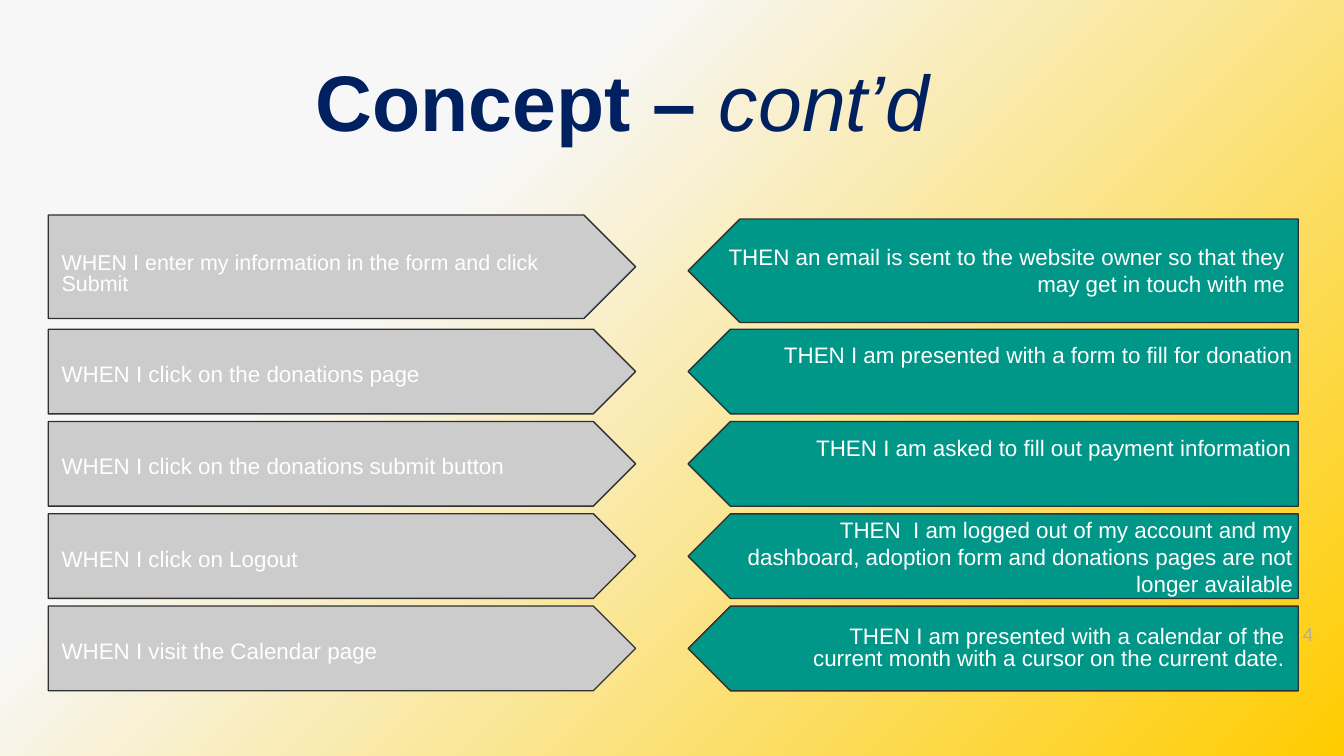
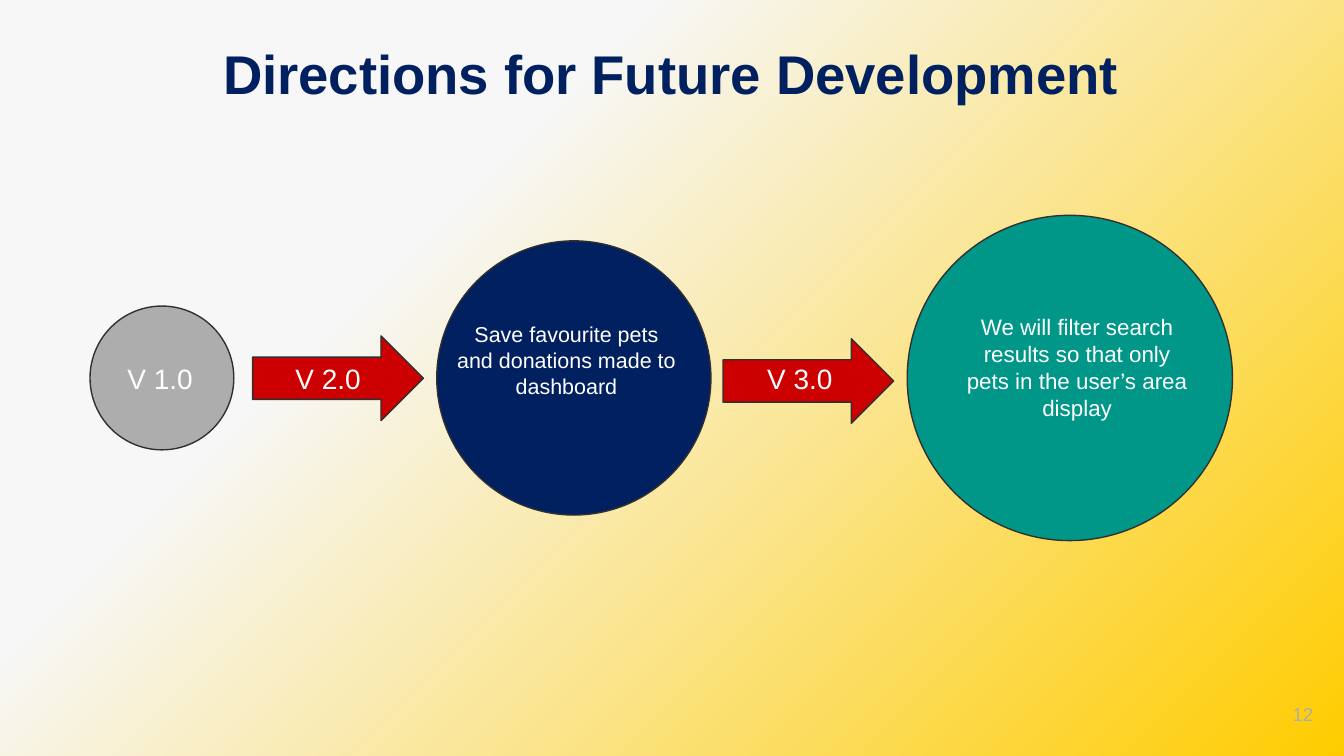
from lxml import etree
from pptx import Presentation
from pptx.dml.color import RGBColor
from pptx.enum.shapes import MSO_SHAPE
from pptx.enum.text import MSO_ANCHOR, MSO_AUTO_SIZE, PP_ALIGN
from pptx.oxml.ns import qn
from pptx.util import Inches, Pt

PENTAGON, ARROW, OVAL = MSO_SHAPE.PENTAGON, MSO_SHAPE.RIGHT_ARROW, MSO_SHAPE.OVAL
LEFT, CENTER, RIGHT = PP_ALIGN.LEFT, PP_ALIGN.CENTER, PP_ALIGN.RIGHT
TOP, MIDDLE = MSO_ANCHOR.TOP, MSO_ANCHOR.MIDDLE
NO_FIT = MSO_AUTO_SIZE.NONE

W = 10
H = W * 9 / 16
FONT = "Arial"
COLORS = {"navy": "002060", "teal": "009688", "silver": "CCCCCC", "gray": "ADADAD",
          "red": "CC0000", "white": "FFFFFF", "outline": "303030"}
BACKGROUND = [(0, "FFCC00"), (69, "F7F7F7"), (74, "F7F7F7"), (100, "FAFAFA")]

WHEN_X, WHEN_W = 0.36, 4.37
THEN_X, THEN_W = 5.12, 4.54
ROW_TOP, LAST_TOP, ROW_H = 2.45, 4.51, 0.63

FIRST_STEP = ("WHEN I enter my information in the form and click Submit",
              "THEN an email is sent to the website owner so that they may get in touch with me")
STEPS = [
    ("WHEN I click on the donations page",
     "THEN I am presented with a form to fill for donation",
     (5.57, -0.01, 4.15, 0.62), 1),
    ("WHEN I click on the donations submit button",
     "THEN I am asked to fill out payment information",
     (5.56, -0.01, 4.15, 0.62), 1),
    ("WHEN I click on Logout",
     "THEN  I am logged out of my account and my dashboard, adoption form and "
     "donations pages are not longer available",
     (5.29, -0.08, 4.43, 0.49), 1),
    ("WHEN I visit the Calendar page",
     "THEN I am presented with a calendar of the current month with a cursor on the current date.",
     (5.73, 0.06, 3.93, 0.49), 0.8),
]
CIRCLES = [(0.67, 1.07, "gray"), (3.25, 2.04, "navy"), (6.75, 2.42, "teal")]
ARROWS = [(1.88, 2.5), (5.38, 2.52)]
VERSIONS = [("V 1.0", 0.85), ("V 2.0", 2.1), ("V 3.0", 5.61)]
PLANS = [
    ("Save favourite pets and donations made to dashboard", (3.28, 2.09, 1.87, 0.98), 11.5),
    ("We will filter search results so that only pets in the user’s area display",
     (7.08, 2.03, 1.87, 1.6), 12),
]


def rgb(name):
    """Return the palette colour of that name."""
    return RGBColor.from_string(COLORS[name])


def set_background(prs):
    """Give the master the diagonal gradient that all slides share."""
    master = prs.slide_master
    fill = master.background.fill
    fill.gradient()
    fill.gradient_angle = 135
    stops = master.element.find(".//" + qn("p:bg")).find(".//" + qn("a:gsLst"))
    for stop in list(stops):
        stops.remove(stop)
    for share, color in BACKGROUND:
        stop = etree.SubElement(stops, qn("a:gs"), pos=str(share * 1000))
        etree.SubElement(stop, qn("a:srgbClr"), val=color)


def place(sp, box):
    """Move and size a shape to a box of left, top, width and height."""
    for name, value in zip(("left", "top", "width", "height"), box):
        setattr(sp, name, Inches(value))


def format_frame(tf, anchor=TOP, margin_top=0.1):
    """Set wrapping, anchor and insets of a text frame."""
    inset = Inches(0.1)
    values = {"word_wrap": True, "auto_size": NO_FIT, "vertical_anchor": anchor,
              "margin_left": inset, "margin_right": inset,
              "margin_top": Inches(margin_top), "margin_bottom": inset}
    for name, value in values.items():
        setattr(tf, name, value)


def add_run(p, text, size, color="white", **style):
    """Add a formatted run to a paragraph."""
    r = p.add_run()
    r.text = text
    r.font.color.rgb = rgb(color)
    for name, value in {"name": FONT, "size": Pt(size), **style}.items():
        setattr(r.font, name, value)


def add_text(s, text, box, size=12, color="white", align=LEFT, spacing=1, **frame):
    """Add a text box with one paragraph."""
    tf = s.shapes.add_textbox(*map(Inches, box)).text_frame
    format_frame(tf, **frame)
    p = tf.paragraphs[0]
    p.alignment, p.line_spacing = align, spacing
    add_run(p, text, size, color)


def add_block(s, kind, box, color, rotation=0):
    """Add a filled shape with a thin dark outline."""
    sp = s.shapes.add_shape(kind, *map(Inches, box))
    sp.shadow.inherit = False
    sp.rotation = rotation
    sp.fill.solid()
    sp.fill.fore_color.rgb = rgb(color)
    sp.line.color.rgb = rgb("outline")
    sp.line.width = Pt(0.75)


def add_slide(prs, box, size, title, number, number_top, suffix=""):
    """Add a slide with its title and page number."""
    s = prs.slides.add_slide(prs.slide_layouts[5])
    place(s.shapes.title, box)
    tf = s.shapes.title.text_frame
    format_frame(tf)
    p = tf.paragraphs[0]
    p.alignment = LEFT
    add_run(p, title, size, "navy", bold=True)
    if suffix:
        add_run(p, suffix, size, "navy", bold=False, italic=True)
    add_text(s, number, (9.27, number_top, 0.6, 0.43), 10, "gray", RIGHT, anchor=MIDDLE)
    return s


def add_pair(s, when_top, then_top, height):
    """Add the two facing pentagons of one step."""
    add_block(s, PENTAGON, (WHEN_X, when_top, WHEN_W, height), "silver")
    add_block(s, PENTAGON, (THEN_X, then_top, THEN_W, height), "teal", 180)


def build_concept(prs):
    """Build the slide of when and then steps."""
    s = add_slide(prs, (2.25, 0.29, 6.62, 0.78), 42.2, "Concept – ", "4", 4.5, "cont’d")
    add_pair(s, 1.6, 1.63, 0.77)
    when, then = FIRST_STEP
    add_text(s, when, (WHEN_X, 1.79, 4.27, 0.44), 11.5, spacing=0.8)
    add_text(s, then, (5.29, 1.71, 4.37, 0.65), align=RIGHT)
    pitch = (LAST_TOP - ROW_TOP) / (len(STEPS) - 1)
    for i, (when, then, (left, shift, width, height), spacing) in enumerate(STEPS):
        top = ROW_TOP + i * pitch
        add_pair(s, top, top, ROW_H)
        add_text(s, when, (WHEN_X, top + 0.13, THEN_W, 0.44))
        add_text(s, then, (left, top + shift, width, height), align=RIGHT, spacing=spacing)


def build_directions(prs):
    """Build the slide of growing version circles."""
    s = add_slide(prs, (1.56, 0.2, 6.89, 0.63), 29.2,
                  "Directions for Future Development", "12", 5.1)
    for left, size, color in CIRCLES:
        add_block(s, OVAL, (left, (H - size) / 2, size, size), color)
    for left, top in ARROWS:
        add_block(s, ARROW, (left, top, 1.27, 0.63), "red")
    for label, left in VERSIONS:
        add_text(s, label, (left, 2.59, 0.71, 0.45), 15)
    for text, box, size in PLANS:
        add_text(s, text, box, size, align=CENTER, margin_top=0.3)


def main():
    """Build and save the presentation."""
    prs = Presentation()
    prs.slide_width, prs.slide_height = Inches(W), Inches(H)
    set_background(prs)
    build_concept(prs)
    build_directions(prs)
    prs.save("out.pptx")


if __name__ == "__main__":
    main()
